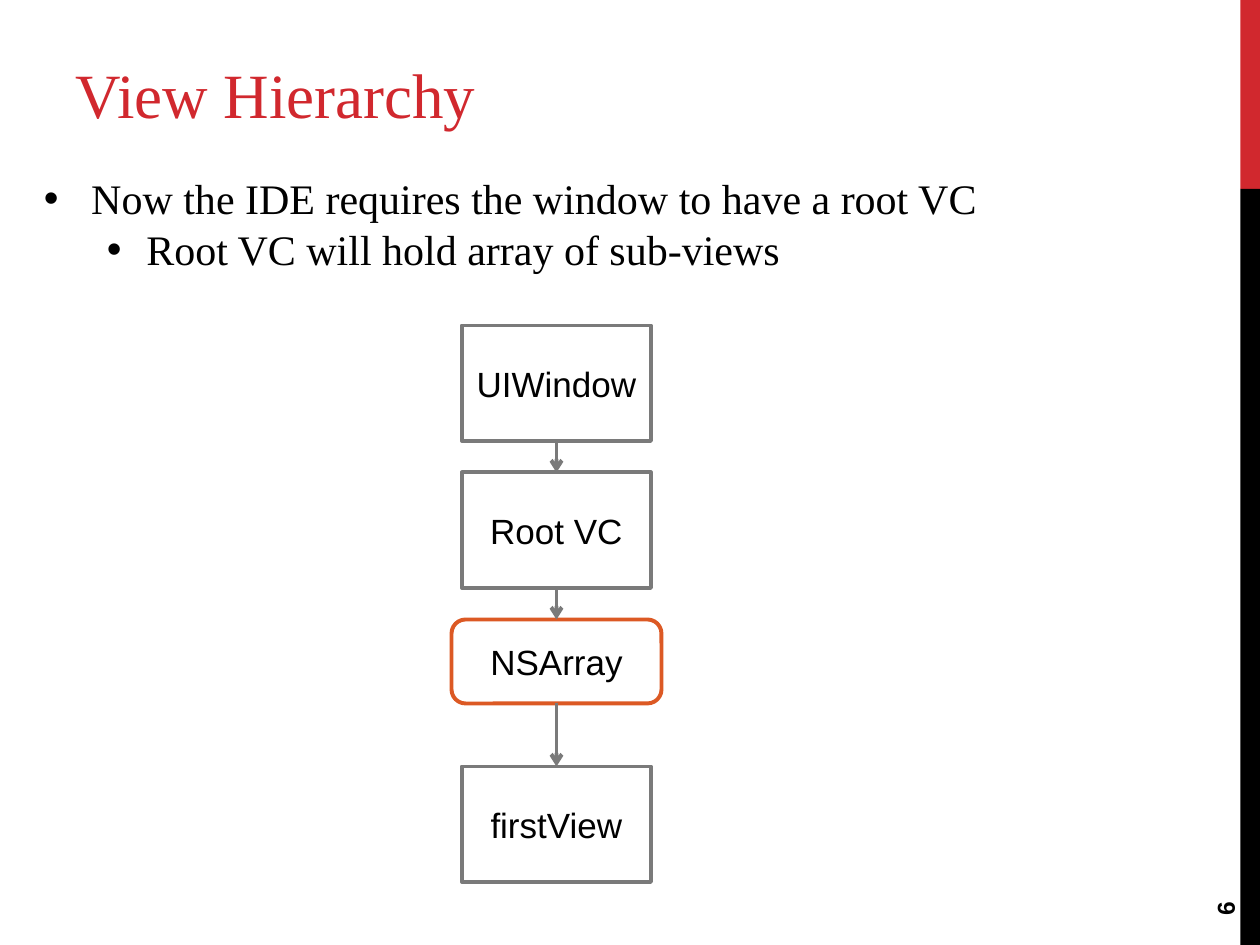
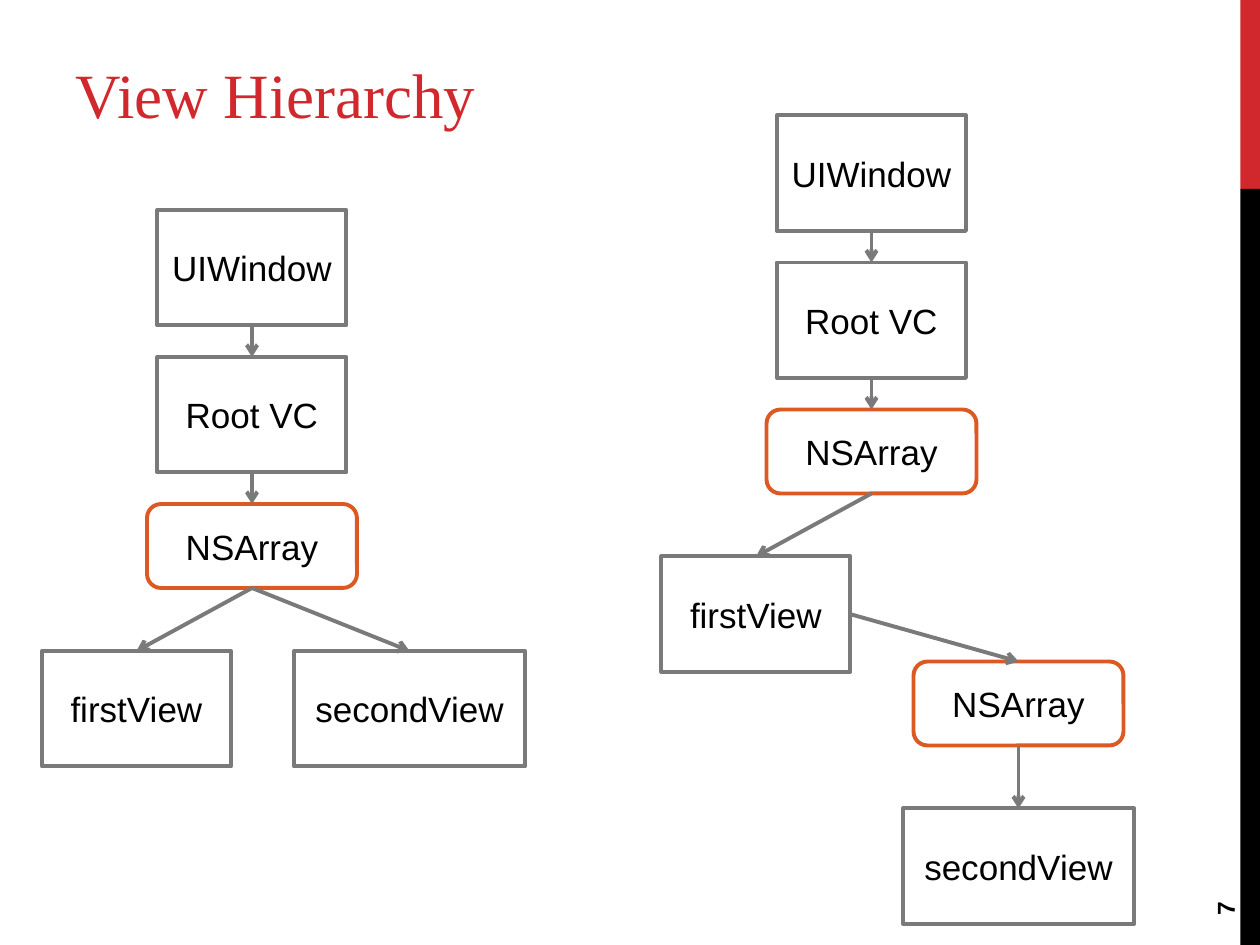
"""Build two slides that show how views nest inside a window."""
from dataclasses import dataclass

from lxml import etree
from pptx import Presentation
from pptx import util as u
from pptx.dml.color import RGBColor
from pptx.enum import shapes, text
from pptx.oxml import ns

Pt = u.Pt
COLORS = {"red": "D1282E", "black": "000000", "white": "FFFFFF",
          "gray": "7A7A7A", "orange": "DC5924"}
SERIF, SANS = "Times New Roman", "Arial"
TOP, LEFT, BOTTOM, RIGHT = range(4)
STEP = 84
ARRAY_TOP = 2 * STEP
CHILD_TOP = 3 * STEP


@dataclass(frozen=True)
class Kind:
    preset: shapes.MSO_SHAPE
    width: float
    height: float
    line: str


VIEW = Kind(shapes.MSO_SHAPE.FLOWCHART_PROCESS, 108, 66, "gray")
WIDE_VIEW = Kind(shapes.MSO_SHAPE.FLOWCHART_PROCESS, 132, 66, "gray")
ARRAY = Kind(shapes.MSO_SHAPE.FLOWCHART_ALTERNATE_PROCESS, 120, 48, "orange")


@dataclass(frozen=True)
class Node:
    label: str
    kind: Kind
    dx: float
    dy: float


@dataclass(frozen=True)
class Link:
    start: int
    end: int
    side: int = BOTTOM


@dataclass(frozen=True)
class Tree:
    center: float
    top: float
    nodes: tuple[Node, ...]
    links: tuple[Link, ...]


@dataclass(frozen=True)
class Bullet:
    words: str
    level: int
    margin: float
    hanging: float


TRUNK = (Node("UIWindow", VIEW, 0, 0), Node("Root VC", VIEW, 0, STEP),
         Node("NSArray", ARRAY, 0, ARRAY_TOP))
TRUNK_LINKS = (Link(0, 1), Link(1, 2), Link(2, 3))
FIRST_LEFT = Node("firstView", VIEW, -66, CHILD_TOP)

SINGLE = Tree(318, 186, TRUNK + (Node("firstView", VIEW, 0, CHILD_TOP),), TRUNK_LINKS)
SIBLINGS = Tree(144, 120,
                TRUNK + (FIRST_LEFT, Node("secondView", WIDE_VIEW, 90, CHILD_TOP)),
                TRUNK_LINKS + (Link(2, 4),))
NESTED = Tree(498, 66,
              TRUNK + (FIRST_LEFT, Node("NSArray", ARRAY, 84, 312),
                       Node("secondView", WIDE_VIEW, 84, 396)),
              TRUNK_LINKS + (Link(3, 4, RIGHT), Link(4, 5)))
BULLETS = (Bullet("Now the IDE requires the window to have a root VC", 0, 27, 27),
           Bullet("Root VC will hold array of sub-views", 1, 58.5, 22.5))


def rgb(name: str) -> RGBColor:
    return RGBColor.from_string(COLORS[name])


def add_run(p, words: str, size: float, font: str, color: str = "black",
            bold: bool = False) -> None:
    r = p.add_run()
    r.text = words
    r.font.size, r.font.name, r.font.bold = Pt(size), font, bold
    r.font.color.rgb = rgb(color)


def add_box(s, left: float, top: float, width: float, height: float,
            anchor=text.MSO_ANCHOR.TOP):
    sp = s.shapes.add_textbox(Pt(left), Pt(top), Pt(width), Pt(height))
    sp.text_frame.word_wrap = True
    sp.text_frame.vertical_anchor = anchor
    return sp


def add_filled(s, preset, left: float, top: float, width: float, height: float,
               fill: str):
    sp = s.shapes.add_shape(preset, Pt(left), Pt(top), Pt(width), Pt(height))
    sp.shadow.inherit = False
    sp.fill.solid()
    sp.fill.fore_color.rgb = rgb(fill)
    sp.line.fill.background()
    return sp


def add_frame(prs, title: str, number: int):
    s = prs.slides.add_slide(prs.slide_layouts[6])
    for top, height, color in ((0, 108, "red"), (108, 432, "black")):
        add_filled(s, shapes.MSO_SHAPE.RECTANGLE, 708.75, top, 11.25, height, color)
    sp = add_box(s, 36, 12, 456, 66.5, text.MSO_ANCHOR.BOTTOM)
    add_run(sp.text_frame.paragraphs[0], title, 36, SERIF, "red")
    sp = add_box(s, 648, 463.5, 104, 29, text.MSO_ANCHOR.MIDDLE)
    sp.rotation = 270
    add_run(sp.text_frame.paragraphs[0], str(number), 14, SANS, bold=True)
    return s


def add_bullets(s, bullets: tuple[Bullet, ...]) -> None:
    tf = add_box(s, 18, 95, 660, 65).text_frame
    for i, b in enumerate(bullets):
        p = tf.add_paragraph() if i else tf.paragraphs[0]
        p.level = b.level
        pPr = p._p.get_or_add_pPr()
        pPr.set("marL", str(Pt(b.margin)))
        pPr.set("indent", str(-Pt(b.hanging)))
        clr = etree.SubElement(pPr, ns.qn("a:buClr"))
        etree.SubElement(clr, ns.qn("a:srgbClr"), val=COLORS["black"])
        etree.SubElement(pPr, ns.qn("a:buFont"), typeface=SANS)
        etree.SubElement(pPr, ns.qn("a:buChar"), char="•")
        p.line_spacing = Pt(29)
        add_run(p, b.words, 24, SERIF)


def add_node(s, tree: Tree, n: Node):
    k = n.kind
    sp = add_filled(s, k.preset, tree.center + n.dx - k.width / 2, tree.top + n.dy,
                    k.width, k.height, "white")
    sp.line.color.rgb = rgb(k.line)
    sp.line.width = Pt(2.25)
    tf = sp.text_frame
    tf.word_wrap = True
    tf.vertical_anchor = text.MSO_ANCHOR.MIDDLE
    p = tf.paragraphs[0]
    p.alignment = text.PP_ALIGN.CENTER
    add_run(p, n.label, 20, SANS)
    return sp


def add_arrow(s, start, end, side: int) -> None:
    c = s.shapes.add_connector(shapes.MSO_CONNECTOR.STRAIGHT, 0, 0, 0, 0)
    c.begin_connect(start, side)
    c.end_connect(end, TOP)
    c.line.color.rgb = rgb("gray")
    c.line.width = Pt(2.25)
    spPr = c.element.spPr
    etree.SubElement(spPr.find(ns.qn("a:ln")), ns.qn("a:tailEnd"), type="arrow")
    etree.SubElement(spPr, ns.qn("a:effectLst"))


def add_tree(s, tree: Tree) -> None:
    boxes = [add_node(s, tree, n) for n in tree.nodes]
    for link in tree.links:
        add_arrow(s, boxes[link.start], boxes[link.end], link.side)


def main() -> None:
    prs = Presentation()
    prs.slide_width, prs.slide_height = Pt(720), Pt(540)
    s = add_frame(prs, "View Hierarchy", 6)
    add_bullets(s, BULLETS)
    add_tree(s, SINGLE)
    s = add_frame(prs, "View Hierarchy", 7)
    for tree in (SIBLINGS, NESTED):
        add_tree(s, tree)
    prs.save("out.pptx")


if __name__ == "__main__":
    main()
